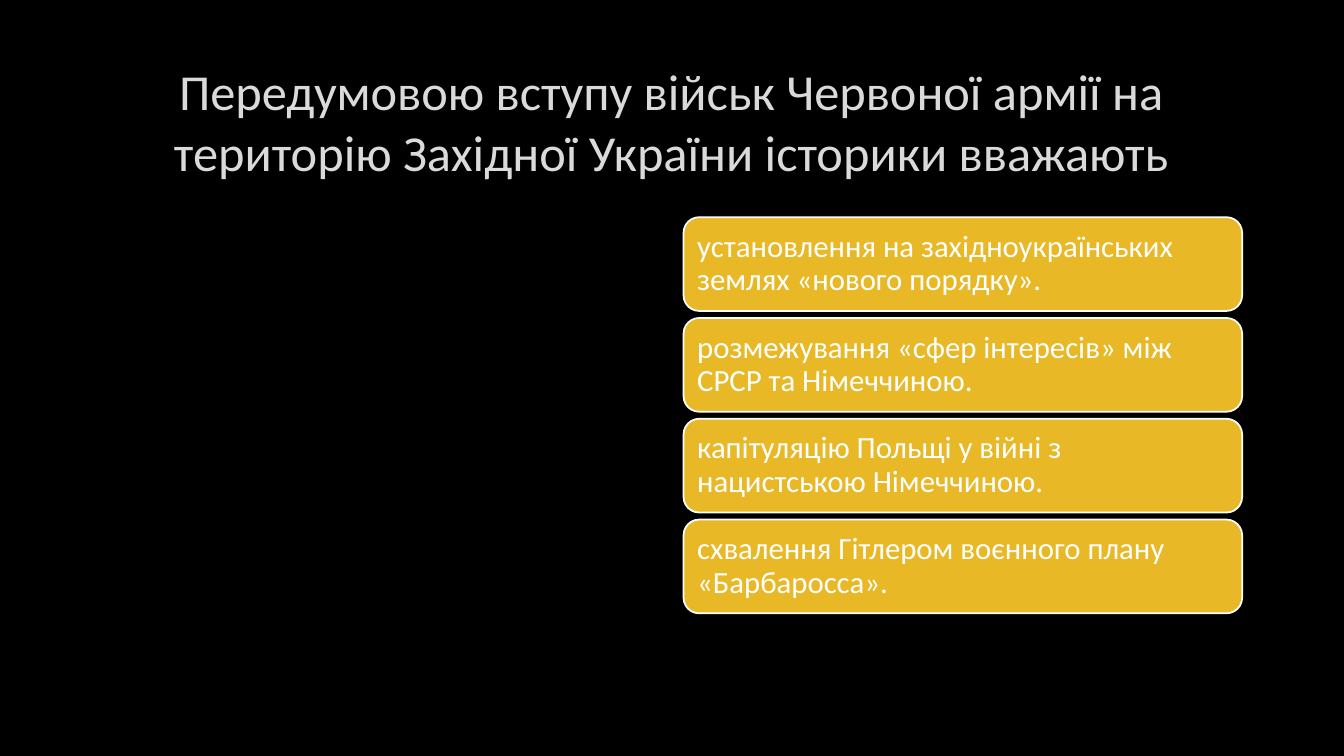
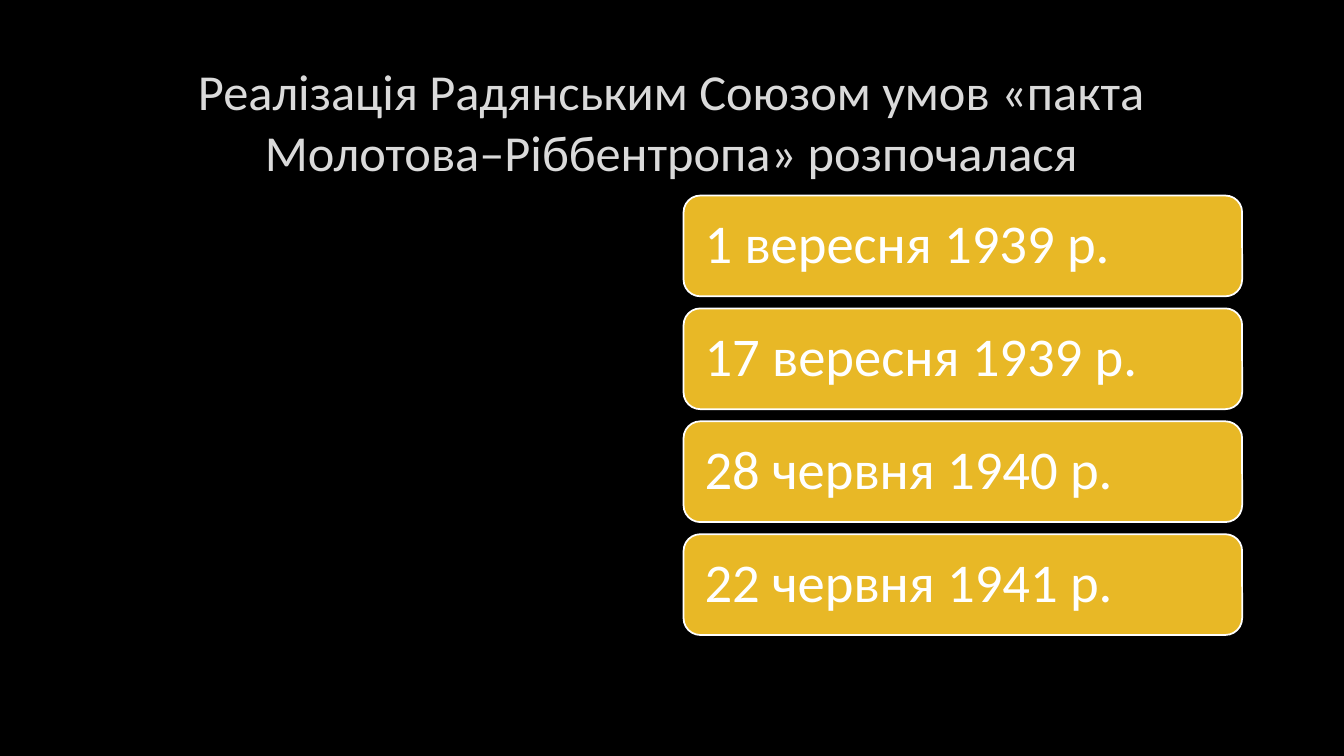
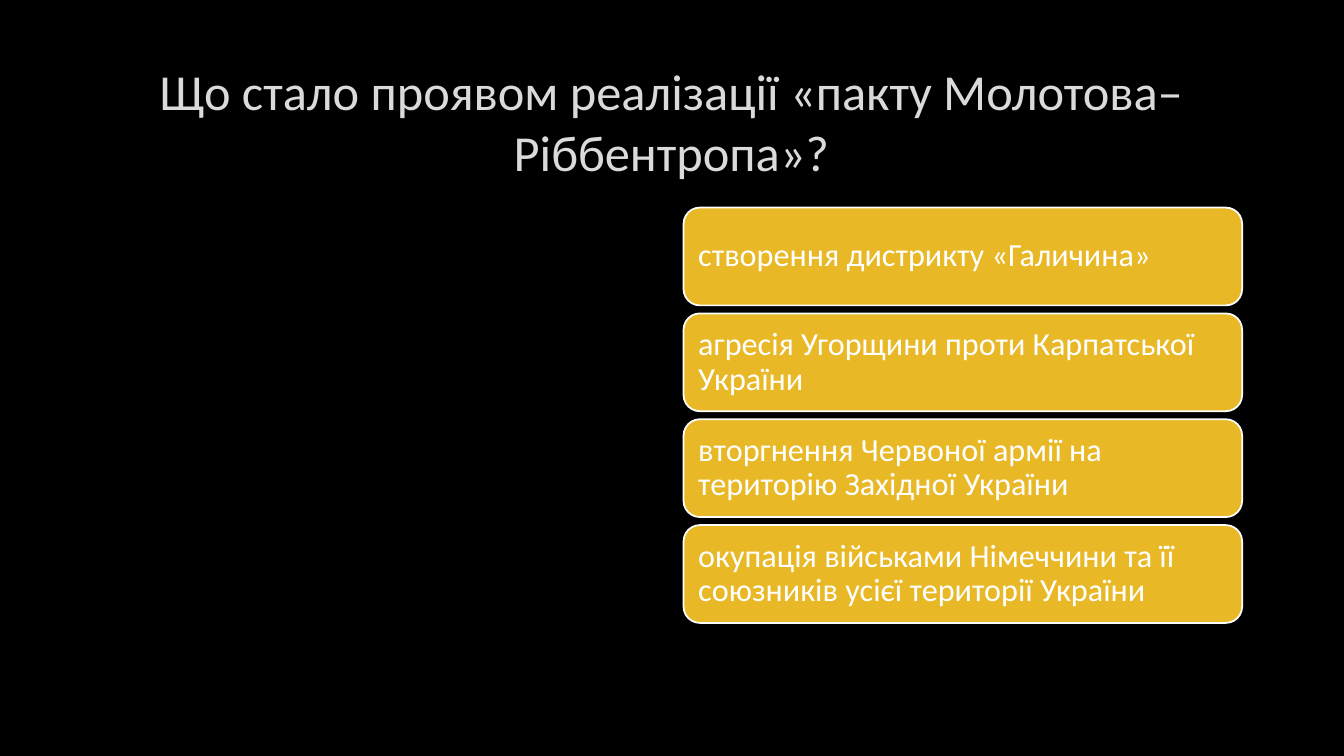
import pptx
import pptx.dml.color
import pptx.enum.shapes
import pptx.enum.text
import pptx.util

Inches = pptx.util.Inches
Pt = pptx.util.Pt
ALIGN = pptx.enum.text.PP_ALIGN

# Content: question, answers, and the size of the answer boxes
QUESTIONS = [
    {
        "title": "Передумовою вступу військ Червоної армії на територію Західної України історики вважають",
        "answers": [
            "установлення на західноукраїнських землях «нового порядку».",
            "розмежування «сфер інтересів» між СРСР та Німеччиною.",
            "капітуляцію Польщі у війні з нацистською Німеччиною.",
            "схвалення Гітлером воєнного плану «Барбаросса».",
        ],
        "size": 22, "height": 0.93, "gap": 0.07, "inset": 0.09,
    },
    {
        "title": "Реалізація Радянським Союзом умов «пакта Молотова–Ріббентропа» розпочалася",
        "answers": [
            "1 вересня 1939 р.",
            "17 вересня 1939 р.",
            "28 червня 1940 р.",
            "22 червня 1941 р.",
        ],
        "size": 39, "height": 1, "gap": 0.12, "inset": 0.16,
    },
    {
        "title": "Що стало проявом реалізації «пакту Молотова–Ріббентропа»?",
        "answers": [
            "створення дистрикту «Галичина»",
            "агресія Угорщини проти Карпатської України",
            "вторгнення Червоної армії на територію Західної України",
            "окупація військами Німеччини та її союзників усієї території України",
        ],
        "size": 23, "height": 0.97, "gap": 0.08, "inset": 0.1,
    },
]

# Shared style
FONT = "Calibri"
BACKGROUND, TITLE_COLOR = "000000", "DADADA"
ANSWER_FILL, WHITE = "E8B826", "FFFFFF"
ANSWER_LEFT, ANSWER_WIDTH, ANSWERS_MIDDLE = 6.78, 5.54, 4.12


def color(value):
    return pptx.dml.color.RGBColor.from_string(value)


def write(shape, text, size, font_color, align=ALIGN.LEFT, spacing=1.0, inset=None):
    frame = shape.text_frame
    frame.word_wrap = True
    frame.vertical_anchor = pptx.enum.text.MSO_ANCHOR.MIDDLE
    if inset is not None:
        frame.margin_left = frame.margin_right = Inches(inset)
        frame.margin_top = frame.margin_bottom = Inches(inset)
    para = frame.paragraphs[0]
    para.alignment = align
    para.line_spacing = spacing
    span = para.add_run()
    span.text = text
    span.font.name = FONT
    span.font.size = Pt(size)
    span.font.color.rgb = color(font_color)


def add_answers(page, question):
    """Stack the answer boxes evenly around the shared middle line."""
    height, pitch = question["height"], question["height"] + question["gap"]
    count = len(question["answers"])
    top = ANSWERS_MIDDLE - (count * pitch - question["gap"]) / 2
    for row, answer in enumerate(question["answers"]):
        box = page.shapes.add_shape(
            pptx.enum.shapes.MSO_SHAPE.ROUNDED_RECTANGLE,
            Inches(ANSWER_LEFT), Inches(top + row * pitch),
            Inches(ANSWER_WIDTH), Inches(height))
        box.shadow.inherit = False
        box.fill.solid()
        box.fill.fore_color.rgb = color(ANSWER_FILL)
        box.line.color.rgb = color(WHITE)
        box.line.width = Pt(1.25)
        write(box, answer, question["size"], WHITE, spacing=0.9, inset=question["inset"])


def add_question(deck, question):
    page = deck.slides.add_slide(deck.slide_layouts[6])
    page.background.fill.solid()
    page.background.fill.fore_color.rgb = color(BACKGROUND)
    title = page.shapes.add_textbox(Inches(1), Inches(0.67), Inches(11.32), Inches(1.06))
    write(title, question["title"], 36, TITLE_COLOR, align=ALIGN.CENTER)
    add_answers(page, question)


def main():
    deck = pptx.Presentation()
    deck.slide_width, deck.slide_height = Inches(13.33), Inches(7.5)
    for question in QUESTIONS:
        add_question(deck, question)
    deck.save("out.pptx")


if __name__ == "__main__":
    main()
